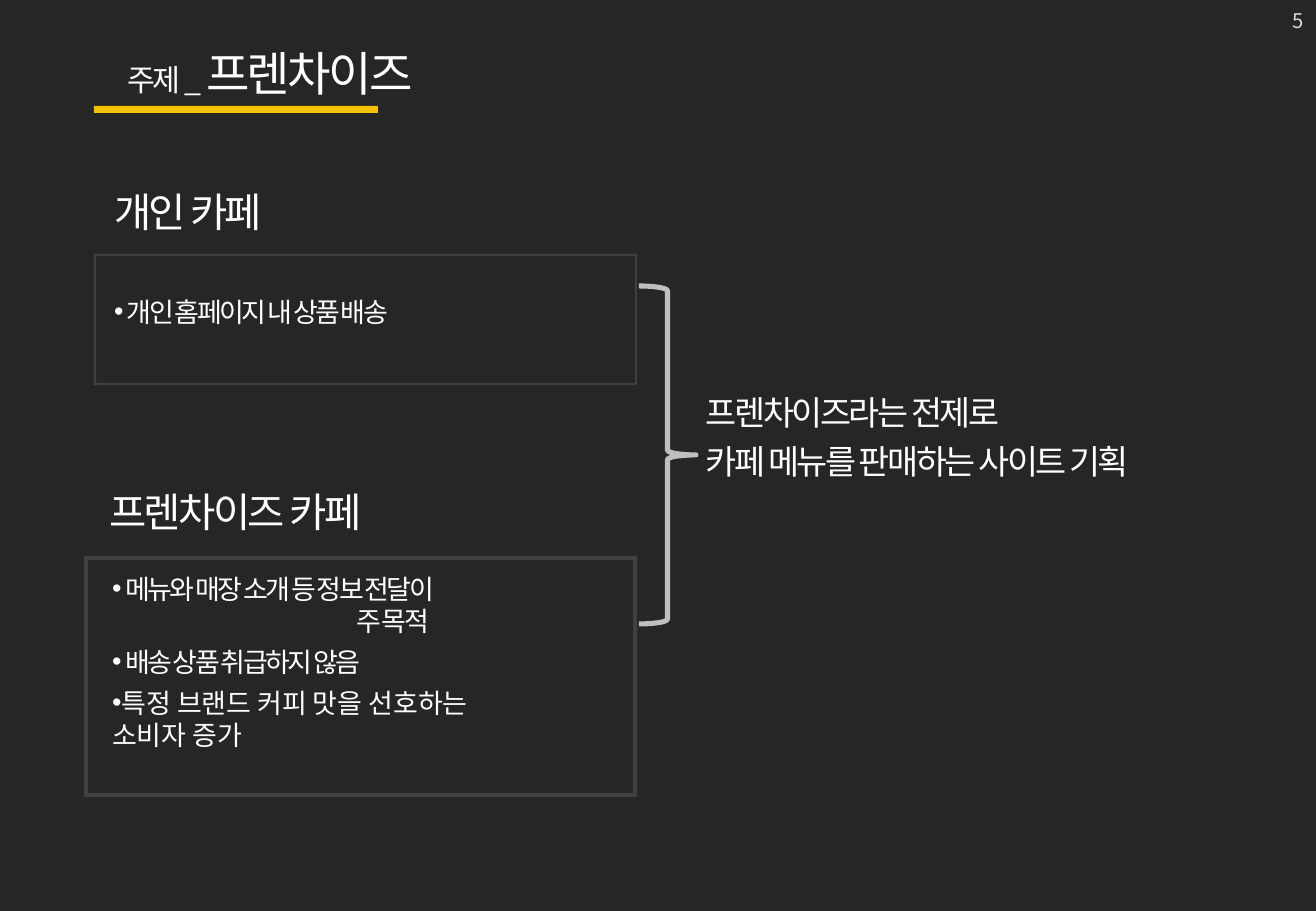
"""Build the franchise topic slide comparing two kinds of cafe."""
from lxml.etree import SubElement
from pptx import Presentation
from pptx.dml.color import RGBColor
from pptx.enum.shapes import MSO_SHAPE
from pptx.enum.text import MSO_ANCHOR, MSO_AUTO_SIZE, PP_ALIGN
from pptx.oxml.ns import qn
from pptx.util import Pt

PX = 7526
FONT = "Noto Sans CJK KR"
COLORS = {"background": "262626", "frame": "404040", "accent": "F5C201",
          "text": "FFFFFF", "number": "D9D9D9", "brace": "BFBFBF"}
TIGHT = -150

TITLE = [("주제 _ ", 18), ("프렌차이즈", 28)]
CONCLUSION = ["프렌차이즈라는 전제로", "카페 메뉴를 판매하는 사이트 기획"]
CAFES = [
    {"heading": "개인 카페", "heading_box": (102, 181, 194, 61),
     "frame": (94, 254, 543, 131), "list_box": (102, 289, 429, 86),
     "items": [(" 개인 홈페이지 내 상품 배송", {"bullet": True})]},
    {"heading": "프렌차이즈 카페", "heading_box": (97, 481, 307, 61),
     "frame": (84, 556, 553, 241), "list_box": (100, 566, 456, 234),
     "items": [(" 메뉴와 매장 소개 등 정보 전달이", {"bullet": True}),
               ("주 목적", {"indent": 244, "before": 0}),
               (" 배송 상품 취급하지 않음", {"bullet": True}),
               ("특정 브랜드 커피 맛을 선호하는 소비자 증가",
                {"bullet": True, "spacing": 0})]},
]


def rgb(name):
    return RGBColor.from_string(COLORS[name])


def place(sp, box):
    sp.left, sp.top, sp.width, sp.height = (n * PX for n in box)


def prepare(sp, box, anchor=MSO_ANCHOR.TOP):
    place(sp, box)
    tf = sp.text_frame
    tf.word_wrap = True
    tf.auto_size = MSO_AUTO_SIZE.NONE
    tf.vertical_anchor = anchor
    return tf


def add_text(p, text, size=16, color="text", spacing=TIGHT, before=5,
             indent=0, bullet=False, align=PP_ALIGN.LEFT):
    p.alignment = align
    p.space_before = Pt(before)
    pPr = p._p.get_or_add_pPr()
    pPr.set("marL", str(indent * PX))
    pPr.set("indent", "0")
    for old in pPr.findall(qn("a:buNone")):
        pPr.remove(old)
    if bullet:
        SubElement(pPr, qn("a:buChar")).set("char", "•")
    else:
        SubElement(pPr, qn("a:buNone"))
    r = p.add_run()
    r.text = text
    r.font.size = Pt(size)
    r.font.bold = False
    r.font.name = FONT
    r.font.color.rgb = rgb(color)
    rPr = r._r.get_or_add_rPr()
    rPr.set("spc", str(spacing))
    SubElement(rPr, qn("a:ea")).set("typeface", FONT)


def add_lines(tf, lines):
    for i, (text, style) in enumerate(lines):
        p = tf.add_paragraph() if i else tf.paragraphs[0]
        add_text(p, text, **style)


def add_block(s, kind, box, color):
    sp = s.shapes.add_shape(kind, *(n * PX for n in box))
    sp.shadow.inherit = False
    sp.fill.solid()
    sp.fill.fore_color.rgb = rgb(color)
    sp.line.fill.background()
    return sp


def main():
    prs = Presentation()
    prs.slide_width, prs.slide_height = 1316 * PX, 911 * PX
    s = prs.slides.add_slide(prs.slide_layouts.get_by_name("Comparison"))
    s.background.fill.solid()
    s.background.fill.fore_color.rgb = rgb("background")
    title, *bodies = s.placeholders

    tf = prepare(title, (115, 38, 384, 69))
    for text, size in TITLE:
        add_text(tf.paragraphs[0], text, size=size, before=0)
    add_block(s, MSO_SHAPE.RECTANGLE, (94, 106, 284, 7), "accent")

    for cafe, heading, items in zip(CAFES, bodies[::2], bodies[1::2]):
        add_lines(prepare(heading, cafe["heading_box"]),
                  [(cafe["heading"], {"size": 24})])
        frame = add_block(s, MSO_SHAPE.FRAME, cafe["frame"], "frame")
        frame.adjustments[0] = 0.016
        add_lines(prepare(items, cafe["list_box"]), cafe["items"])

    brace = s.shapes.add_shape(MSO_SHAPE.RIGHT_BRACE,
                               *(n * PX for n in (639, 286, 57, 338)))
    brace.shadow.inherit = False
    brace.fill.background()
    brace.line.color.rgb = rgb("brace")
    brace.line.width = Pt(3)

    conclusion = s.shapes.add_textbox(0, 0, PX, PX)
    add_lines(prepare(conclusion, (694, 386, 533, 102)),
              [(line, {"size": 20}) for line in CONCLUSION])
    number = s.shapes.add_textbox(0, 0, PX, PX)
    add_lines(prepare(number, (978, -4, 338, 49), MSO_ANCHOR.MIDDLE),
              [("5", {"size": 12, "color": "number", "spacing": 0,
                      "before": 0, "align": PP_ALIGN.RIGHT})])
    prs.save("out.pptx")


if __name__ == "__main__":
    main()
